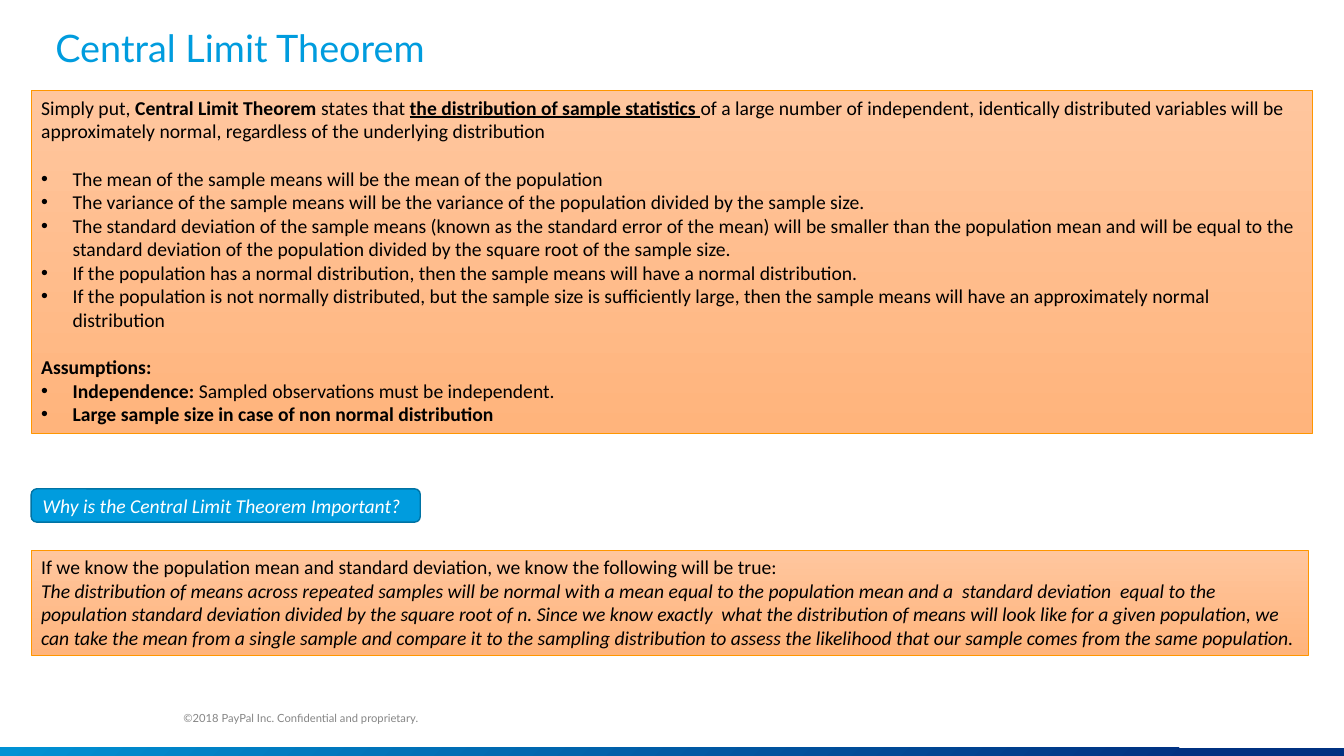
from lxml.etree import SubElement
from pptx import Presentation
from pptx.dml.color import RGBColor
from pptx.enum.shapes import MSO_SHAPE
from pptx.enum.text import MSO_ANCHOR, PP_ALIGN
from pptx.oxml.ns import qn
from pptx.util import Pt

# Content: a paragraph is (bullet, space before, runs); a run is (text, style)
TITLE = "Central Limit Theorem"
FOOT = "©2018 PayPal Inc. Confidential and proprietary."
ASK = "Why is the Central Limit Theorem Important?"
GAP = 17  # one line of body text
THEOREM = [
    (False, 0, [
        ("Simply put, ", ""),
        ("Central Limit Theorem ", "b"),
        ("states that ", ""),
        ("the distribution of sample statistics ", "bu"),
        ("of a large number of independent, identically distributed variables "
         "will be approximately normal, regardless of the underlying distribution", ""),
    ]),
    (True, GAP, [("The mean of the sample means will be the mean of the population", "")]),
    (True, 0, [("The variance of the sample means will be the variance of the "
                "population divided by the sample size.", "")]),
    (True, 0, [("The standard deviation of the sample means (known as the standard "
                "error of the mean) will be smaller than the population mean and will "
                "be equal to the standard deviation of the population divided by the "
                "square root of the sample size.", "")]),
    (True, 0, [("If the population has a normal distribution, then the sample means "
                "will have a normal distribution.", "")]),
    (True, 0, [("If the population is not normally distributed, but the sample size "
                "is sufficiently large, then the sample means will have an "
                "approximately normal distribution", "")]),
    (False, GAP, [("Assumptions:", "b")]),
    (True, 0, [("Independence: ", "b"),
               ("Sampled observations must be independent.", "")]),
    (True, 0, [("Large sample size in case of non normal distribution", "b")]),
]
REASON = [
    (False, 0, [("If we know the population mean and standard deviation, we know "
                 "the following will be true:", "")]),
    (False, 0, [("The distribution of means across repeated samples will be normal "
                 "with a mean equal to the population mean and a  standard deviation  "
                 "equal to the population standard deviation divided by the square "
                 "root of n. Since we know exactly  what the distribution of means "
                 "will look like for a given population, we can take the mean from a "
                 "single sample and compare it to the sampling distribution to assess "
                 "the likelihood that our sample comes from the same population.", "i")]),
]
COLORS = {
    "title": "009CDE", "text": "000000", "white": "FFFFFF", "foot": "858585",
    "light": "FFC69E", "deep": "FFB47C", "edge": "FF9600",
    "blue": "009CDE", "rim": "0073A4", "bar": "0092D4", "navy": "003181",
}
LEFT = 22.32
INDENT = 22.5

deck = Presentation()
deck.slide_width, deck.slide_height = Pt(960), Pt(540)
slide = deck.slides.add_slide(deck.slide_layouts[6])


def color(name):
    return RGBColor.from_string(COLORS[name])


def write(frame, paras, ink="text", size=14, font="Calibri"):
    frame.word_wrap = True
    for num, (bullet, gap, runs) in enumerate(paras):
        para = frame.paragraphs[0] if num == 0 else frame.add_paragraph()
        para.alignment = PP_ALIGN.LEFT
        para.space_before = Pt(gap)
        if bullet:
            props = para._p.get_or_add_pPr()
            props.set("marL", str(Pt(INDENT)))
            props.set("indent", str(-Pt(INDENT)))
            SubElement(props, qn("a:buFont")).set("typeface", "Arial")
            SubElement(props, qn("a:buChar")).set("char", "•")
        for text, style in runs:
            run = para.add_run()
            run.text = text
            face = run.font
            face.name, face.size = font, Pt(size)
            face.color.rgb = color(ink)
            face.bold, face.italic = "b" in style, "i" in style
            face.underline = "u" in style


def label(box, text, ink, size, anchor, pad=0):
    frame = slide.shapes.add_textbox(*map(Pt, box)).text_frame
    frame.margin_left = frame.margin_right = 0
    frame.margin_top = frame.margin_bottom = Pt(pad)
    frame.vertical_anchor = anchor
    write(frame, [(False, 0, [(text, "")])], ink, size, "Lato")
    return frame


def block(kind, box, line=None, width=0.5):
    shape = slide.shapes.add_shape(kind, *map(Pt, box))
    shape.shadow.inherit = False
    if line:
        shape.line.color.rgb = color(line)
        shape.line.width = Pt(width)
    else:
        shape.line.fill.background()
    return shape


def blend(shape, first, last, end=1):
    shape.fill.gradient()
    shape.fill.gradient_angle = 270
    for stop, name, place in zip(shape.fill.gradient_stops, (first, last), (0, end)):
        stop.color.rgb = color(name)
        stop.position = place


# Bottom bar, shaded outward from its top left corner
bar = block(MSO_SHAPE.RECTANGLE, (0, 534.24, 960, 5.76))
blend(bar, "bar", "navy", 0.89)
grad = bar._element.spPr.find(qn("a:gradFill"))
grad.remove(grad.find(qn("a:lin")))
route = SubElement(grad, qn("a:path"))
route.set("path", "circle")
focus = SubElement(route, qn("a:fillToRect"))
focus.set("r", "100000")
focus.set("b", "100000")

# Footer and title
label((131, 500.4, 324, 24.5), FOOT, "foot", 8, MSO_ANCHOR.MIDDLE, 3.6)
head = label((39.6, 25.9, 880.5, 24.5), TITLE, "title", 27, MSO_ANCHOR.BOTTOM)
head.paragraphs[0].line_spacing = 0.85

# Orange panels
for top, width, height, paras in (
    (64.8, 915.12, 244.8, THEOREM),
    (393.12, 912.24, 74.88, REASON),
):
    panel = block(MSO_SHAPE.RECTANGLE, (LEFT, top, width, height), "edge")
    blend(panel, "light", "deep")
    panel.text_frame.vertical_anchor = MSO_ANCHOR.TOP
    write(panel.text_frame, paras)

# Question tag
tag = block(MSO_SHAPE.ROUNDED_RECTANGLE, (LEFT, 349.2, 277.92, 23.76), "rim", 1)
tag.fill.solid()
tag.fill.fore_color.rgb = color("blue")
tag.text_frame.vertical_anchor = MSO_ANCHOR.MIDDLE
write(tag.text_frame, [(False, 0, [(ASK, "i")])], "white")

deck.save("out.pptx")
